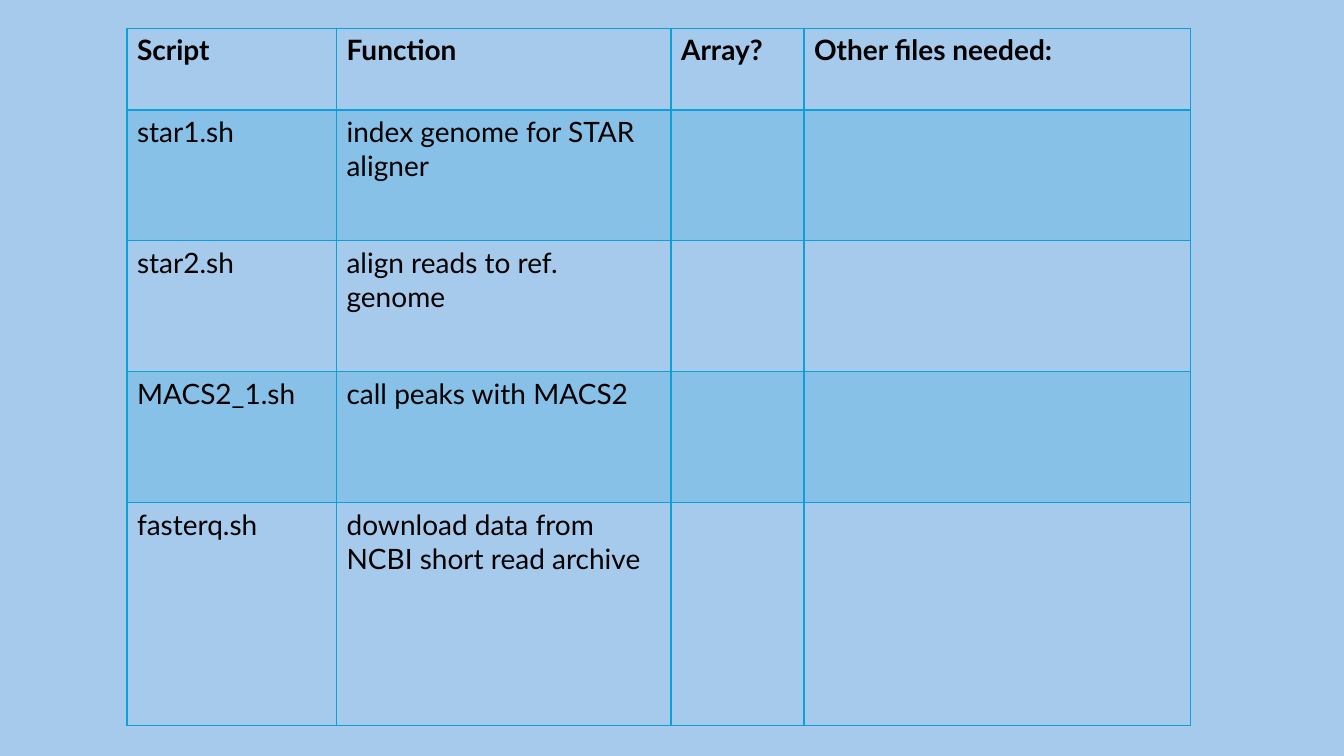
from lxml import etree
from pptx import Presentation
from pptx import util as u
from pptx.dml.color import RGBColor
from pptx.oxml.ns import qn

FONT = "Lato"
BLUE = "0F9ED5"
BACKGROUND = "A6CAEC"
COLUMN_WIDTHS = [5.28, 8.43, 3.35, 9.75]
ROW_HEIGHTS = [2.06, 3.3, 3.3, 3.3, 5.61]
ROWS = [
    ["Script", "Function", "Array?", "Other files needed:"],
    ["star1.sh", "index genome for STAR aligner", "", ""],
    ["star2.sh", "align reads to ref. genome", "", ""],
    ["MACS2_1.sh", "call peaks with MACS2", "", ""],
    ["fasterq.sh", "download data from NCBI short read archive", "", ""],
]


def set_fill(fill, color, opacity=100):
    fill.solid()
    fill.fore_color.rgb = RGBColor.from_string(color)
    if opacity < 100:
        color_element = fill.fore_color._xFill.find(qn("a:srgbClr"))
        etree.SubElement(color_element, qn("a:alpha"), val=str(opacity * 1000))


def write_text(text_frame, text, size=20, bold=False, color="000000"):
    paragraph = text_frame.paragraphs[0]
    # Empty cells keep the font size without gaining a run
    target = paragraph.add_run() if text else paragraph
    if text:
        target.text = text
    target.font.name = FONT
    target.font.size = u.Pt(size)
    target.font.bold = bold
    set_fill(target.font.fill, color)


def set_borders(cell, widths, color):
    properties = cell._tc.get_or_add_tcPr()
    # Border lines come before the cell fill
    for position, (side, width) in enumerate(zip("LRTB", widths)):
        line = etree.Element(qn(f"a:ln{side}"), w=str(u.Pt(width)))
        fill = etree.SubElement(line, qn("a:solidFill"))
        etree.SubElement(fill, qn("a:srgbClr"), val=color)
        properties.insert(position, line)


def add_script_table(slide, left, top):
    frame = slide.shapes.add_table(
        len(ROWS), len(COLUMN_WIDTHS), u.Cm(left), u.Cm(top),
        u.Cm(sum(COLUMN_WIDTHS)), u.Cm(sum(ROW_HEIGHTS)))
    table = frame.table
    table.horz_banding = False
    for column, width in zip(table.columns, COLUMN_WIDTHS):
        column.width = u.Cm(width)
    for row, height in zip(table.rows, ROW_HEIGHTS):
        row.height = u.Cm(height)

    # Bold header with a heavier rule, then alternating tinted rows
    for row_index, texts in enumerate(ROWS):
        header = row_index == 0
        for column_index, text in enumerate(texts):
            cell = table.cell(row_index, column_index)
            write_text(cell.text_frame, text, bold=header)
            if row_index % 2:
                set_fill(cell.fill, BLUE, opacity=20)
            else:
                cell.fill.background()
            top_width = 2 if row_index == 1 else 1
            set_borders(cell, (1, 1, top_width, 2 if header else 1), BLUE)


def main():
    presentation = Presentation()
    presentation.slide_width = u.Cm(33.87)
    presentation.slide_height = u.Cm(19.05)
    slide = presentation.slides.add_slide(presentation.slide_layouts[6])
    set_fill(slide.background.fill, BACKGROUND)
    add_script_table(slide, left=3.2, top=0.71)
    presentation.save("out.pptx")


if __name__ == "__main__":
    main()
